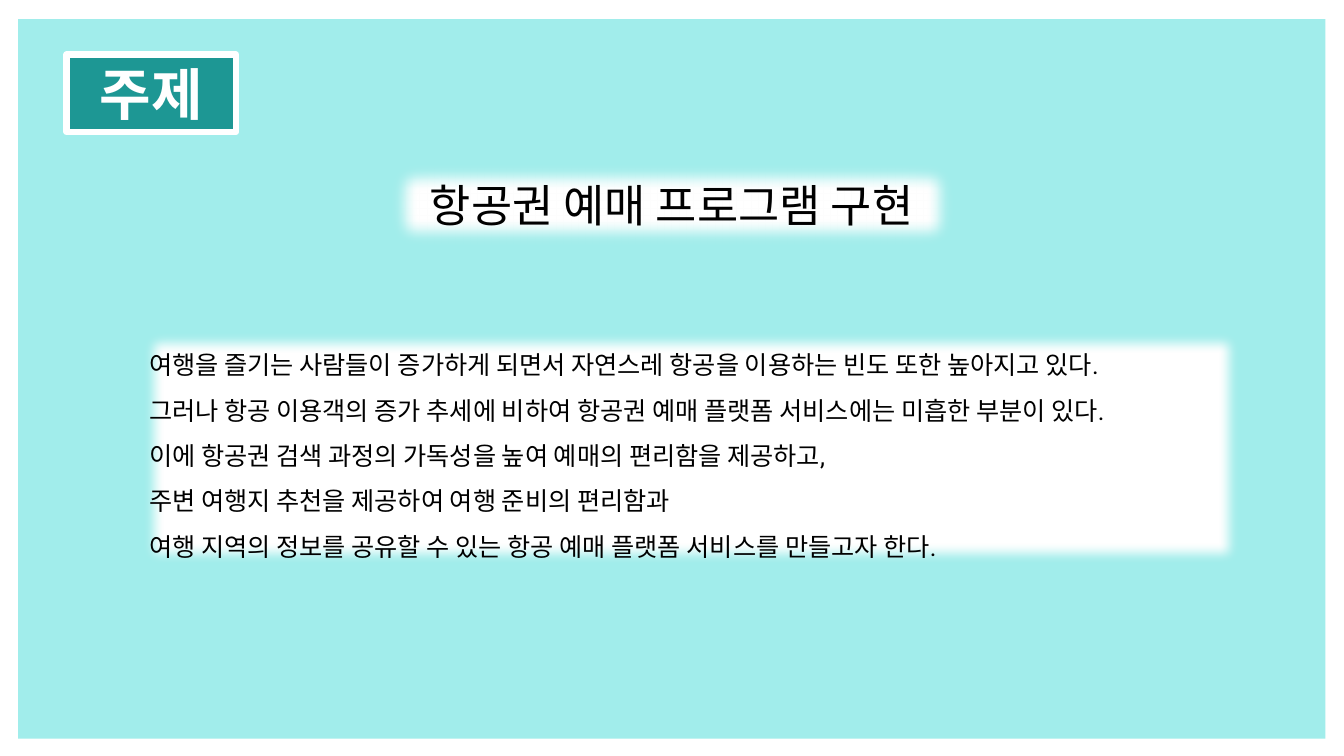
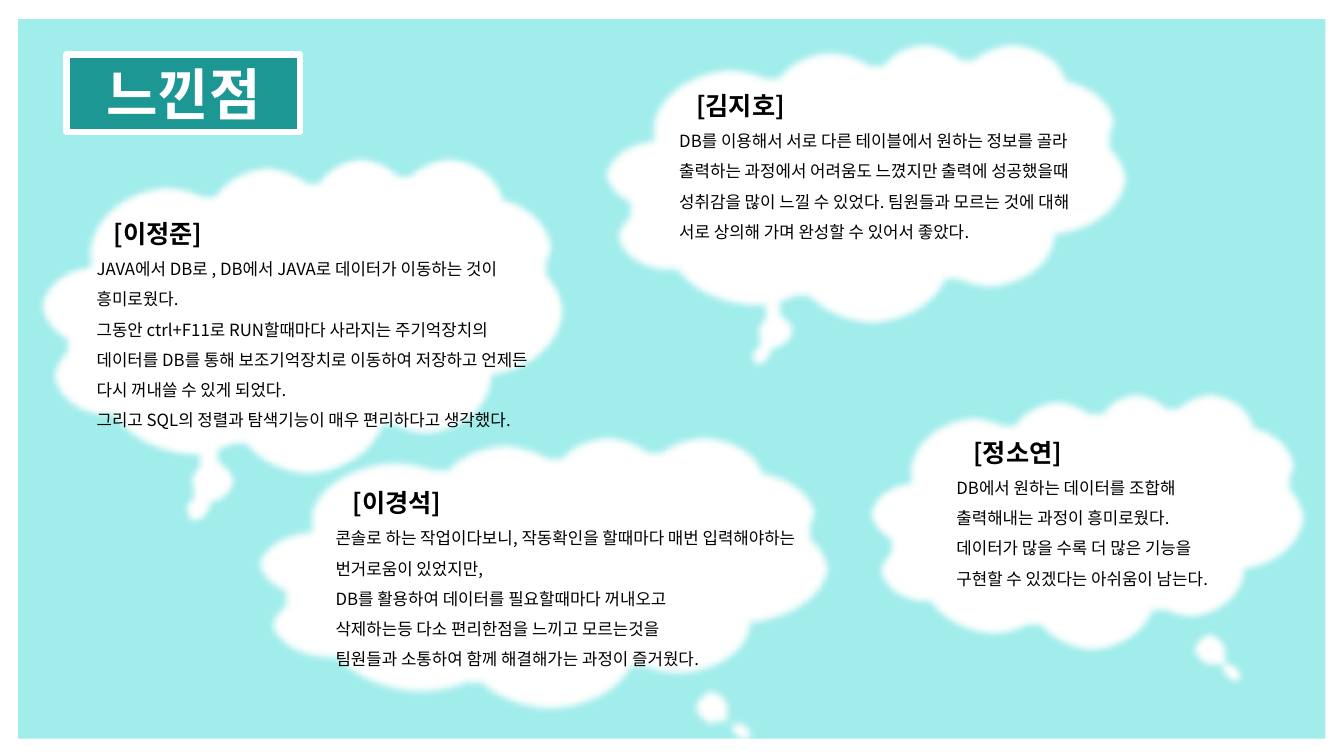
import pptx
import pptx.util
import pptx.dml.color
import pptx.enum.shapes
import pptx.enum.text
import pptx.oxml
import pptx.oxml.ns
from dataclasses import dataclass

Pt = pptx.util.Pt
SHAPE = pptx.enum.shapes.MSO_SHAPE
ALIGN = pptx.enum.text.PP_ALIGN
ANCHOR = pptx.enum.text.MSO_ANCHOR

# Content: boxes are (left, top, width, height) in points
TOPIC = {
    "title": "주제", "title_width": 121,
    "headline": "항공권 예매 프로그램 구현", "headline_box": (274.3, 112.3, 411.1, 67.7),
    "summary": [
        "여행을 즐기는 사람들이 증가하게 되면서 자연스레 항공을 이용하는 빈도 또한 높아지고 있다.",
        "그러나 항공 이용객의 증가 추세에 비하여 항공권 예매 플랫폼 서비스에는 미흡한 부분이 있다.",
        "이에 항공권 검색 과정의 가독성을 높여 예매의 편리함을 제공하고,",
        "주변 여행지 추천을 제공하여 여행 준비의 편리함과",
        "여행 지역의 정보를 공유할 수 있는 항공 예매 플랫폼 서비스를 만들고자 한다.",
    ],
    "summary_box": (99.4, 234.7, 789.1, 170.6),
}
REFLECTIONS = {
    "title": "느낀점", "title_width": 167,
    "members": [
        {"name": "[이정준]", "cloud": (26.6, 108.7, 378.7, 232.6), "tail": None,
         "note": (61.9, 141.8, 339.8, 170.6),
         "lines": ["JAVA에서 DB로 , DB에서 JAVA로 데이터가 이동하는 것이 흥미로웠다.",
                   "그동안 ctrl+F11로 RUN할때마다 사라지는 주기억장치의 데이터를 DB를 통해 "
                   "보조기억장치로 이동하여 저장하고 언제든 다시 꺼내쓸 수 있게 되었다.",
                   "그리고 SQL의 정렬과 탐색기능이 매우 편리하다고 생각했다."]},
        {"name": "[김지호]", "cloud": (428.4, 26.6, 379.4, 207.4), "tail": None,
         "note": (478.1, 50.4, 301, 149),
         "lines": ["DB를 이용해서 서로 다른 테이블에서 원하는 정보를 골라 출력하는 과정에서 "
                   "어려움도 느꼈지만 출력에 성공했을때 성취감을 많이 느낄 수 있었다. "
                   "팀원들과 모르는 것에 대해 서로 상의해 가며 완성할 수 있어서 좋았다."]},
        {"name": "[정소연]", "cloud": (617.8, 277.2, 317.5, 190.8), "tail": (0.35, 0.61),
         "note": (676.1, 298.1, 301, 127.4),
         "lines": ["DB에서 원하는 데이터를 조합해", "출력해내는 과정이 흥미로웠다.",
                   "데이터가 많을 수록 더 많은 기능을", "구현할 수 있겠다는 아쉬움이 남는다."]},
        {"name": "[이경석]", "cloud": (180.7, 307.4, 414.7, 202.3), "tail": (0.37, 0.61),
         "note": (232.6, 334.1, 403.2, 149),
         "lines": ["콘솔로 하는 작업이다보니, 작동확인을 할때마다 매번 입력해야하는",
                   "번거로움이 있었지만,", "DB를 활용하여 데이터를 필요할때마다 꺼내오고",
                   "삭제하는등 다소 편리한점을 느끼고 모르는것을",
                   "팀원들과 소통하여 함께 해결해가는 과정이 즐거웠다."]},
    ],
}


@dataclass(frozen=True)
class Theme:
    panel: str = "A1EDEB"
    label: str = "1D9794"
    white: str = "FFFFFF"
    ink: str = "000000"
    korean: str = "Noto Sans CJK KR"
    latin: str = "Roboto Condensed"
    title: int = 40
    headline: int = 32
    body: int = 18
    note: int = 12


theme = Theme()
SLIDE_SIZE = (960, 540)
PANEL_BOX = (13, 13.7, 933.8, 514)
TITLE_ORIGIN = (47.5, 38.9)
TITLE_HEIGHT = 55.4
NAME_INDENT = 12.1
TITLE_FORMAT = {"name": theme.korean, "size": Pt(theme.title), "bold": True}
HEADLINE_FORMAT = {"name": theme.korean, "size": Pt(theme.headline), "bold": False}
SUMMARY_FORMAT = {"name": theme.latin, "size": Pt(theme.body), "bold": False}
NAME_FORMAT = {"name": theme.korean, "size": Pt(theme.body), "bold": True}
NOTE_FORMAT = {"name": theme.korean, "size": Pt(theme.note), "bold": False}


# Shared helpers
def rgb(value):
    return pptx.dml.color.RGBColor.from_string(value)


def paint(shape, color):
    shape.fill.solid()
    shape.fill.fore_color.rgb = rgb(color)
    shape.shadow.inherit = False


def add_block(slide, preset, box, color, soft=0):
    block = slide.shapes.add_shape(preset, *map(Pt, box))
    paint(block, color)
    block.line.fill.background()
    if soft:
        effects = block.element.spPr.find(pptx.oxml.ns.qn("a:effectLst"))
        effects.append(pptx.oxml.parse_xml(
            f'<a:softEdge {pptx.oxml.ns.nsdecls("a")} rad="{Pt(soft)}"/>'))
    return block


def write(paragraph, text, values, color=theme.ink, align=ALIGN.LEFT, spacing=None):
    paragraph.text = text
    paragraph.alignment = align
    paragraph.line_spacing = spacing
    for run in paragraph.runs:
        for field, value in values.items():
            setattr(run.font, field, value)
        run.font.color.rgb = rgb(color)
        east_asian = pptx.oxml.parse_xml(
            f'<a:ea {pptx.oxml.ns.nsdecls("a")} typeface="{theme.korean}"/>')
        run._r.get_or_add_rPr().append(east_asian)


def set_frame(shape, anchor):
    frame = shape.text_frame
    frame.word_wrap = True
    frame.auto_size = pptx.enum.text.MSO_AUTO_SIZE.NONE
    frame.vertical_anchor = anchor
    for side, margin in {"left": 7.2, "right": 7.2, "top": 3.6, "bottom": 3.6}.items():
        setattr(frame, f"margin_{side}", Pt(margin))
    return frame


def start_slide(deck, content):
    slide = deck.slides.add_slide(deck.slide_layouts[5])
    panel = add_block(slide, SHAPE.RECTANGLE, PANEL_BOX, theme.panel)
    label = slide.shapes.title
    label.element.addprevious(panel.element)
    label.left, label.top = map(Pt, TITLE_ORIGIN)
    label.width, label.height = Pt(content["title_width"]), Pt(TITLE_HEIGHT)
    paint(label, theme.label)
    label.line.color.rgb = rgb(theme.white)
    label.line.width = Pt(4.5)
    frame = set_frame(label, ANCHOR.MIDDLE)
    write(frame.paragraphs[0], content["title"], TITLE_FORMAT, theme.white, ALIGN.CENTER)
    return slide


deck = pptx.Presentation()
deck.slide_width, deck.slide_height = map(Pt, SLIDE_SIZE)

# Topic slide
topic = start_slide(deck, TOPIC)
headline = add_block(topic, SHAPE.RECTANGLE, TOPIC["headline_box"], theme.white, soft=12.5)
write(set_frame(headline, ANCHOR.MIDDLE).paragraphs[0], TOPIC["headline"],
      HEADLINE_FORMAT, align=ALIGN.CENTER)
summary = add_block(topic, SHAPE.RECTANGLE, TOPIC["summary_box"], theme.white, soft=10)
write(set_frame(summary, ANCHOR.MIDDLE).paragraphs[0], "\v".join(TOPIC["summary"]),
      SUMMARY_FORMAT, spacing=1.5)

# Reflections slide: clouds first, notes above them
reflections = start_slide(deck, REFLECTIONS)
for member in REFLECTIONS["members"]:
    cloud = add_block(reflections, SHAPE.CLOUD_CALLOUT, member["cloud"], theme.white, soft=5)
    for index, offset in enumerate(member["tail"] or ()):
        cloud.adjustments[index] = offset

for member in REFLECTIONS["members"]:
    note = reflections.shapes.add_textbox(*map(Pt, member["note"]))
    frame = set_frame(note, ANCHOR.TOP)
    name = frame.paragraphs[0]
    write(name, member["name"], NAME_FORMAT, spacing=1.5)
    name._p.get_or_add_pPr().set("marL", str(Pt(NAME_INDENT)))
    for line in member["lines"]:
        write(frame.add_paragraph(), line, NOTE_FORMAT, spacing=1.5)

deck.save("out.pptx")
